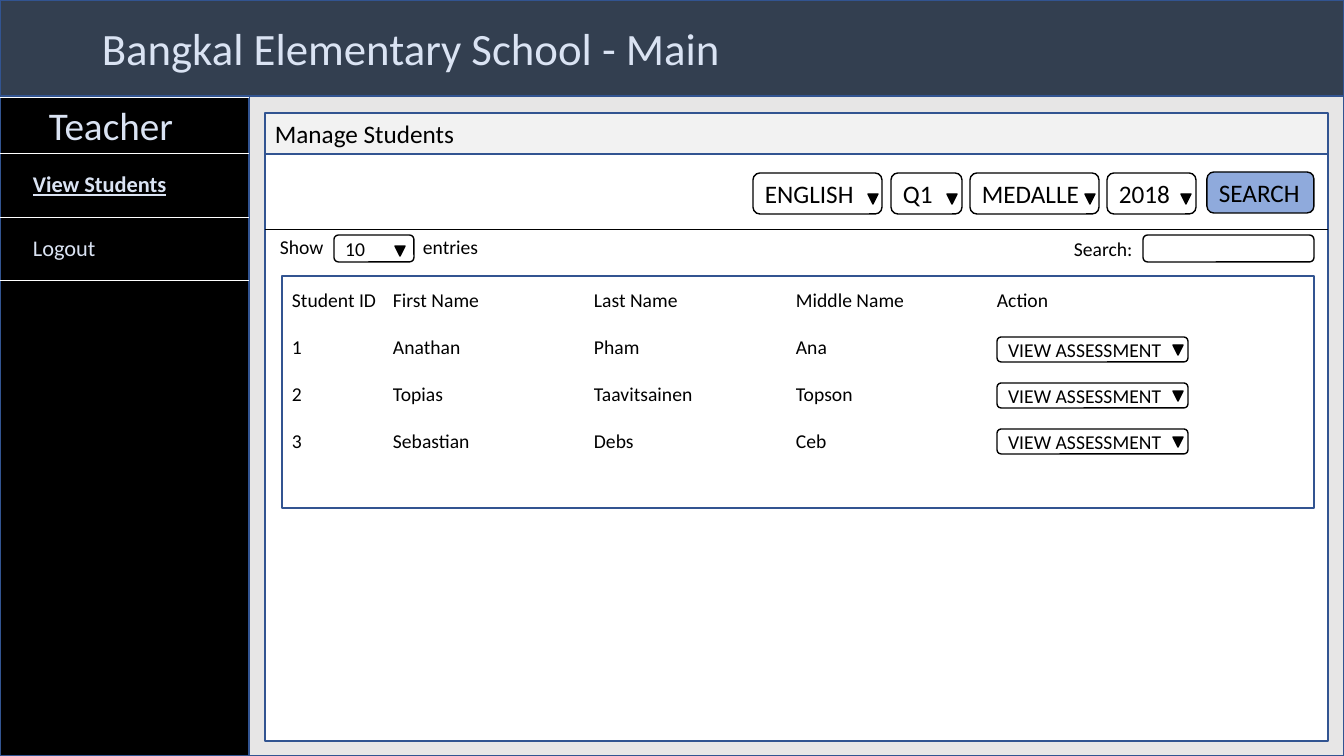
from lxml.etree import SubElement
from pptx import Presentation
from pptx.dml.color import RGBColor
from pptx.enum.shapes import MSO_CONNECTOR, MSO_SHAPE
from pptx.enum.text import MSO_ANCHOR, PP_ALIGN
from pptx.oxml.ns import qn
from pptx.util import Pt

BLACK = RGBColor(0x00, 0x00, 0x00)
WHITE = RGBColor(0xFF, 0xFF, 0xFF)
SLATE = RGBColor(0x33, 0x3F, 0x50)
BORDER = RGBColor(0x32, 0x54, 0x91)
PAGE_GRAY = RGBColor(0xE7, 0xE6, 0xE6)
TITLE_GRAY = RGBColor(0xF2, 0xF2, 0xF2)
PALE_BLUE = RGBColor(0xDA, 0xE3, 0xF3)
BUTTON_BLUE = RGBColor(0x8F, 0xAA, 0xDC)
FONT = "Calibri"
NO_GRID_STYLE = "{2D5ABB26-0587-4C30-8999-92F81FD0307C}"


def px(*lengths):
    return [round(length * 12192000 / 1344) for length in lengths]


def add_box(kind, bounds, fill, line, text="", size=18):
    shape = slide.shapes.add_shape(kind, *px(*bounds))
    shape.shadow.inherit = False
    shape.fill.solid()
    shape.fill.fore_color.rgb = fill
    shape.line.color.rgb = line
    shape.line.width = Pt(1)
    if text:
        shape.text_frame.text = text
        shape.text_frame.vertical_anchor = MSO_ANCHOR.MIDDLE
        paragraph = shape.text_frame.paragraphs[0]
        paragraph.alignment = PP_ALIGN.LEFT
        paragraph.font.name = FONT
        paragraph.font.size = Pt(size)
        paragraph.font.color.rgb = BLACK
    return shape


presentation = Presentation()
presentation.slide_width, presentation.slide_height = px(1344, 756)
slide = presentation.slides.add_slide(presentation.slide_layouts[6])

add_box(MSO_SHAPE.RECTANGLE, (0, 0, 1344, 756), SLATE, BORDER)
add_box(MSO_SHAPE.RECTANGLE, (0, 96, 282, 660), BLACK, BORDER)
add_box(MSO_SHAPE.RECTANGLE, (249, 96, 1095, 660), PAGE_GRAY, BORDER)
add_box(MSO_SHAPE.RECTANGLE, (265, 113, 1063, 41), TITLE_GRAY, BORDER, "Manage Students")
add_box(MSO_SHAPE.RECTANGLE, (265, 154, 1063, 587), WHITE, BORDER)
add_box(MSO_SHAPE.RECTANGLE, (282, 276, 1032, 232), WHITE, BORDER)

rules = [(0, 249, y, WHITE) for y in (97, 153, 217, 280)]
rules.append((265, 1328, 229, BLACK))
for start, end, y, color in rules:
    rule = slide.shapes.add_connector(MSO_CONNECTOR.STRAIGHT, *px(start, y, end, y))
    rule.line.color.rgb = color
    rule.line.width = Pt(0.5)
    SubElement(rule._element.spPr, qn("a:effectLst"))

labels = [
    ("Bangkal Elementary School - Main", 92, 16, 679, 64, 32, PALE_BLUE),
    ("Teacher", 39, 96, 203, 57, 28, PALE_BLUE),
    ("View Students", 23, 165, 203, 37, 16, PALE_BLUE),
    ("Logout", 23, 229, 203, 37, 16, PALE_BLUE),
    ("Show", 270, 230, 80, 34, 14, BLACK),
    ("entries", 413, 230, 80, 34, 14, BLACK),
    ("Search:", 1064, 232, 80, 34, 14, BLACK),
]
for text, left, top, width, height, size, color in labels:
    label = slide.shapes.add_textbox(*px(left, top, width, height))
    label.text_frame.word_wrap = True
    label.text_frame.text = text
    font = label.text_frame.paragraphs[0].font
    font.name = FONT
    font.size = Pt(size)
    font.color.rgb = color
    if text == "View Students":
        font.bold = True
        font.underline = True

students = [
    ("Student ID", "First Name", "Last Name", "Middle Name", "Action"),
    ("1", "Anathan", "Pham", "Ana", ""),
    ("2", "Topias", "Taavitsainen", "Topson", ""),
    ("3", "Sebastian", "Debs", "Ceb", ""),
]
column_widths = (101, 201, 202, 201, 327)
table = slide.shapes.add_table(4, 5, *px(282, 277, 1032, 188)).table
table.first_row = False
table.horz_banding = False
table._tbl.tblPr.find(qn("a:tableStyleId")).text = NO_GRID_STYLE
for column, width in zip(table.columns, px(*column_widths)):
    column.width = width
for row, values in zip(table.rows, students):
    row.height = px(47)[0]
    for cell, value in zip(row.cells, values):
        cell.text = value
        cell.fill.background()
        cell.vertical_anchor = MSO_ANCHOR.MIDDLE
        cell.margin_left, cell.margin_right = px(10, 0)
        font = cell.text_frame.paragraphs[0].font
        font.name = FONT
        font.size = Pt(14)
        font.color.rgb = BLACK

add_box(MSO_SHAPE.ROUNDED_RECTANGLE, (1143, 235, 171, 27), WHITE, BLACK)
add_box(MSO_SHAPE.ROUNDED_RECTANGLE, (1207, 172, 107, 41), BUTTON_BLUE, BLACK, "SEARCH")

dropdowns = [
    ("10", 334, 235, 80, 27, 14, 395, 246),
    ("ENGLISH", 753, 173, 129, 41, 18, 868, 194),
    ("Q1", 891, 173, 71, 41, 18, 947, 194),
    ("MEDALLE", 970, 173, 129, 41, 18, 1085, 194),
    ("2018", 1107, 173, 89, 41, 18, 1181, 194),
]
for student in range(3):
    top = 337 + 46 * student
    dropdowns.append(("VIEW ASSESSMENT", 997, top, 191, 25, 14, 1173, top + 8))
for text, left, top, width, height, size, arrow_left, arrow_top in dropdowns:
    add_box(MSO_SHAPE.ROUNDED_RECTANGLE, (left, top, width, height), WHITE, BLACK, text, size)
    arrow = add_box(MSO_SHAPE.ISOSCELES_TRIANGLE, (arrow_left, arrow_top, 10, 10), BLACK, BLACK)
    arrow.rotation = 180

presentation.save("out.pptx")
